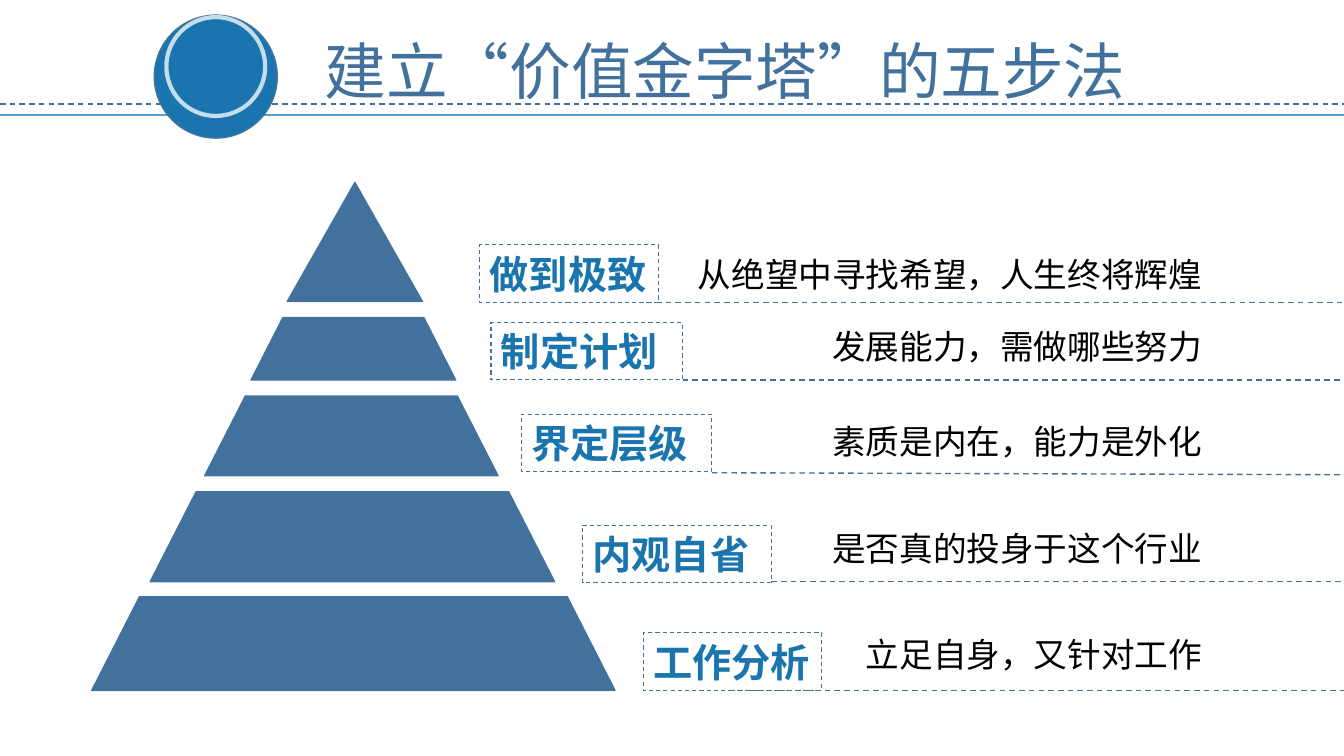
from pptx import Presentation
from pptx import util as u
from pptx.dml.color import RGBColor
from pptx.enum import dml, shapes, text
from pptx.oxml.ns import qn
from lxml import etree

STEEL = RGBColor(0x41, 0x71, 0x9C)
EDGE = RGBColor(0x43, 0x73, 0x9E)
SKY = RGBColor(0x5B, 0x9B, 0xD5)
OCEAN = RGBColor(0x1A, 0x75, 0xAE)
WHITE = RGBColor(0xFF, 0xFF, 0xFF)
BLACK = RGBColor(0, 0, 0)

PX = 9144
WIDTH, HEIGHT = 1333, 750
BODY_FONT = "Noto Sans CJK SC"
TITLE_FONT = "Noto Sans CJK JP"
DESCRIPTION_RIGHT = 1202

LAYERS = [
    (285, 181, 134, 118),
    (249, 315, 203, 62),
    (203, 393, 291, 79),
    (149, 488, 401, 89),
    (91, 592, 519, 93),
]

STEPS = [
    ("做到极致", (476, 243, 177), "从绝望中寻找希望，人生终将辉煌", (677, 247), (641, 300, 300)),
    ("制定计划", (487, 320, 190), "发展能力，需做哪些努力", (435, 318), (677, 377, 377)),
    ("界定层级", (517, 411, 189), "素质是内在，能力是外化", (486, 413), (706, 469, 471)),
    ("内观自省", (578, 521, 187), "是否真的投身于这个行业", (510, 519), (765, 577, 577)),
    ("工作分析", (638, 628, 177), "立足自身，又针对工作", (845, 624), (731, 685, 685)),
]


def px(*lengths):
    return [u.Emu(length * PX) for length in lengths]


def write(shape, words, size, color, font=BODY_FONT, bold=False, align=text.PP_ALIGN.LEFT):
    frame = shape.text_frame
    frame.auto_size = text.MSO_AUTO_SIZE.NONE
    frame.word_wrap = False
    frame.vertical_anchor = text.MSO_ANCHOR.MIDDLE
    frame.margin_left = frame.margin_right = u.Inches(0.1)
    frame.margin_top = frame.margin_bottom = 0
    para = frame.paragraphs[0]
    para.alignment = align
    span = para.add_run()
    span.text = words
    span.font.size = u.Pt(size)
    span.font.bold = bold
    span.font.name = font
    span.font.color.rgb = color
    span.font.language_id = None
    latin = span.font._element.find(qn("a:latin"))
    east_asian = etree.Element(qn("a:ea"), typeface=font)
    latin.addnext(east_asian)


class Slide:
    def __init__(self, deck):
        self.page = deck.slides.add_slide(deck.slide_layouts[5])

    def title(self, words, box):
        holder = self.page.shapes.title
        holder.left, holder.top, holder.width, holder.height = px(*box)
        write(holder, words, 44, STEEL, font=TITLE_FONT)

    def shape(self, kind, box, fill=None, line=EDGE, weight=1, dashed=False, parent=None):
        shape = (parent or self.page).shapes.add_shape(kind, *px(*box))
        shape.shadow.inherit = False
        if fill is None:
            shape.fill.background()
        else:
            shape.fill.solid()
            shape.fill.fore_color.rgb = fill
        self.stroke(shape.line, line, weight, dashed)
        return shape

    def line(self, start, end, color=STEEL, weight=1, dashed=True):
        connector = self.page.shapes.add_connector(
            shapes.MSO_CONNECTOR.STRAIGHT, *px(*start, *end))
        self.stroke(connector.line, color, weight, dashed)
        etree.SubElement(connector._element.spPr, qn("a:effectLst"))

    def stroke(self, line, color, weight, dashed):
        line.color.rgb = color
        line.width = u.Pt(weight)
        if dashed:
            line.dash_style = dml.MSO_LINE.DASH

    def description(self, words, left, top):
        box = self.page.shapes.add_textbox(*px(left, top, DESCRIPTION_RIGHT - left, 50))
        write(box, words, 24, BLACK, align=text.PP_ALIGN.RIGHT)

    def label(self, words, left, top, width):
        box = self.shape(shapes.MSO_SHAPE.RECTANGLE, (left, top, width, 57),
                         line=STEEL, weight=0.75, dashed=True)
        write(box, words, 28, OCEAN, bold=True)

    def pyramid(self, layers):
        group = self.page.shapes.add_group_shape()
        for index, box in enumerate(layers):
            kind = shapes.MSO_SHAPE.TRAPEZOID if index else shapes.MSO_SHAPE.ISOSCELES_TRIANGLE
            layer = self.shape(kind, box, fill=STEEL, parent=group)
            if index:
                layer.adjustments[0] = 0.51

    def badge(self):
        self.shape(shapes.MSO_SHAPE.OVAL, (153, 15, 122, 122), fill=OCEAN)
        ring = self.shape(shapes.MSO_SHAPE.OVAL, (165, 17, 98, 98), line=WHITE, weight=3)
        color = ring.line._ln.find(".//" + qn("a:srgbClr"))
        etree.SubElement(color, qn("a:alpha"), val="74000")


def main():
    deck = Presentation()
    deck.slide_width, deck.slide_height = px(WIDTH, HEIGHT)
    slide = Slide(deck)
    slide.title("建立“价值金字塔”的五步法", (312, 25, 822, 89))
    slide.line((0, 103), (WIDTH, 103))
    slide.line((0, 114), (WIDTH, 114), color=SKY, weight=1.5, dashed=False)
    slide.badge()
    slide.pyramid(LAYERS)
    for name, label_box, words, corner, (left, start, end) in STEPS:
        slide.description(words, *corner)
        slide.line((left, start), (WIDTH, end))
        slide.label(name, *label_box)
    deck.save("out.pptx")


if __name__ == "__main__":
    main()
